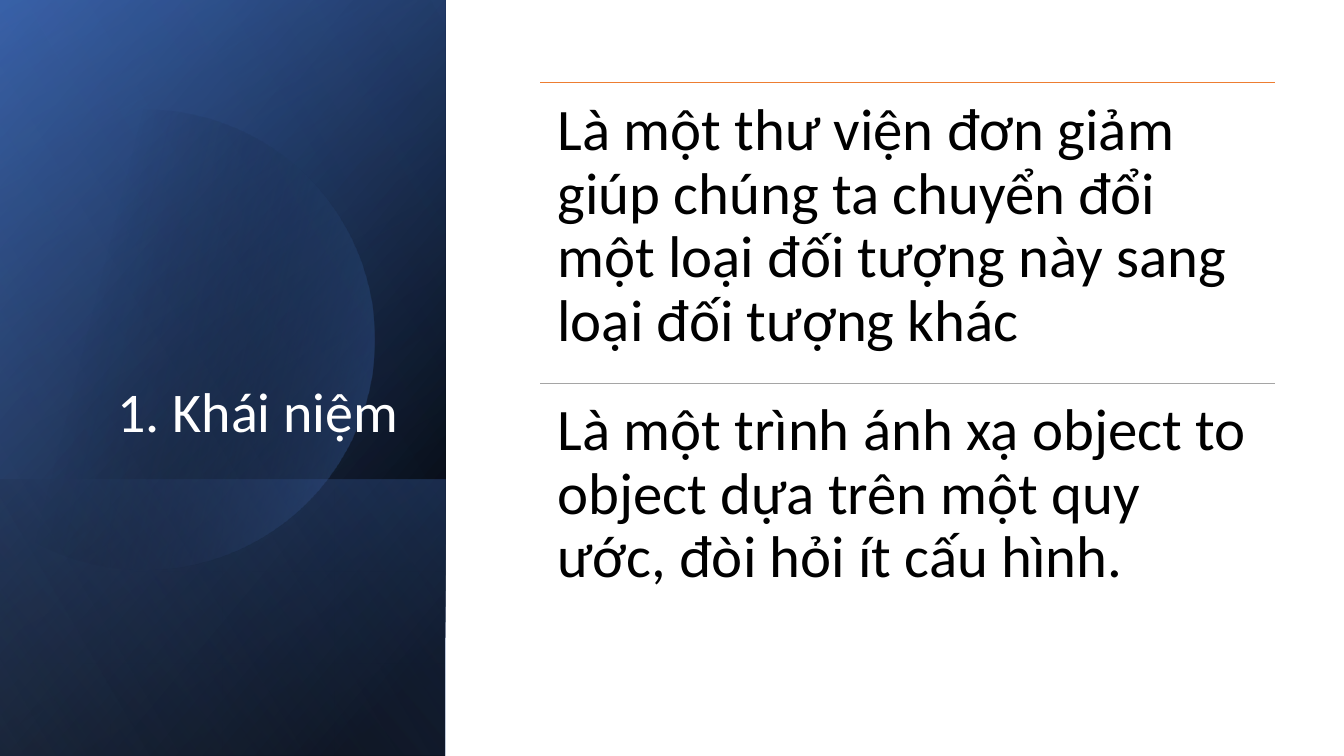
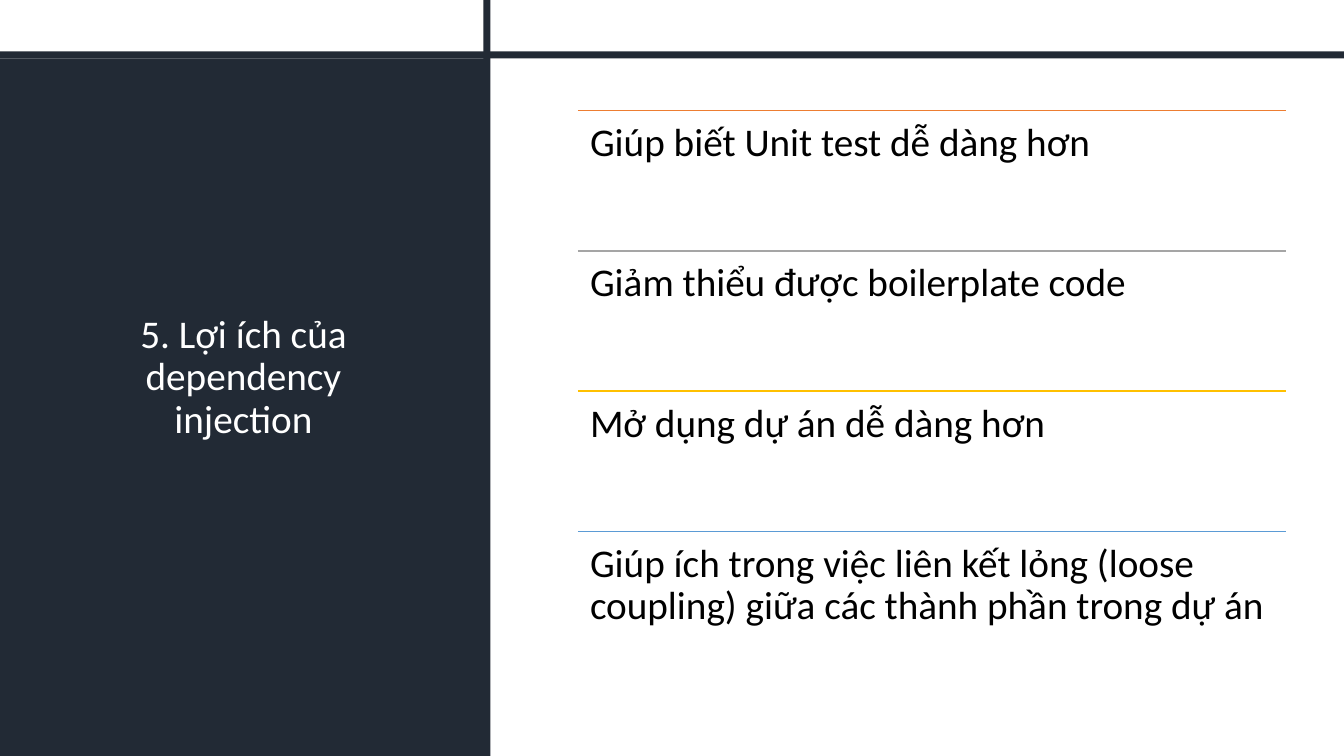
"""Build two slides, each with a dark title panel beside a ruled list."""
import dataclasses
import math

import lxml.etree
import pptx
import pptx.dml.color
import pptx.enum.shapes
import pptx.enum.text
import pptx.oxml.ns
import pptx.util


@dataclasses.dataclass(frozen=True)
class Theme:
    font: str = "Calibri"
    black: str = "000000"
    white: str = "FFFFFF"
    slate: str = "222A35"
    navy: str = "2F5597"
    blue: str = "4472C4"
    pale_blue: str = "8FAADC"
    orange: str = "ED7D31"
    grey: str = "A5A5A5"
    gold: str = "FFC000"
    sky: str = "5B9BD5"
    concept_title: int = 40
    concept_text: int = 42
    benefit_size: int = 28
    line_spacing: float = 0.9


theme = Theme()
rgb = pptx.dml.color.RGBColor.from_string
qn = pptx.oxml.ns.qn
anchors = pptx.enum.text.MSO_ANCHOR
aligns = pptx.enum.text.PP_ALIGN

deck = pptx.Presentation()
deck.slide_width = pptx.util.Inches(13.33)
deck.slide_height = pptx.util.Inches(7.5)
column = deck.slide_width / 100
row = deck.slide_height / 100


def grid(left, top, width, height):
    return [round(left * column), round(top * row), round(width * column), round(height * row)]


def write(frame, text, size, colour, align, anchor):
    frame.word_wrap = True
    frame.auto_size = pptx.enum.text.MSO_AUTO_SIZE.NONE
    frame.vertical_anchor = anchor
    frame.text = text
    paragraph = frame.paragraphs[0]
    paragraph.alignment = align
    paragraph.line_spacing = theme.line_spacing
    font = paragraph.runs[0].font
    font.name = theme.font
    font.size = pptx.util.Pt(size)
    font.color.rgb = rgb(colour)


concept = deck.slides.add_slide(deck.slide_layouts[5])
benefits = deck.slides.add_slide(deck.slide_layouts[5])

side_panel = (0, 0, 33.15, 100)
glazes = [
    (side_panel, 220, (8, theme.black, 100), (100, theme.navy, 100)),
    (side_panel, 240, (0, theme.black, 0), (99, theme.blue, 46)),
    ((0, 63.47, 33.15, 36.53), 140, (2, theme.blue, 29), (100, theme.black, 30)),
    (None, 14, (29, theme.black, 0), (100, theme.blue, 43)),
    (side_panel, 150, (0, theme.black, 0), (99, theme.pale_blue, 11)),
]
centre_x, centre_y, radius = 10.73 * column, 44.93 * row, 30.4 * row
opening = math.acos(-centre_x / radius)
turns = [opening * (step / 60 - 1) for step in range(121)]
disc_rim = [
    (round(centre_x + radius * math.cos(turn)), round(centre_y + radius * math.sin(turn)))
    for turn in turns
]

for box, angle, *stops in glazes:
    if box:
        glaze = concept.shapes.add_shape(pptx.enum.shapes.MSO_SHAPE.RECTANGLE, *grid(*box))
    else:
        outline = concept.shapes.build_freeform(*disc_rim[0])
        outline.add_line_segments(disc_rim[1:], close=True)
        glaze = outline.convert_to_shape()
    glaze.shadow.inherit = False
    glaze.line.fill.background()
    glaze.fill.gradient()
    glaze.fill.gradient_angle = 360 - angle
    for stop, (position, colour, _) in zip(glaze.fill.gradient_stops, stops):
        stop.position = position / 100
        stop.color.rgb = rgb(colour)
    for tint, (_, _, opacity) in zip(glaze.element.iter(qn("a:srgbClr")), stops):
        lxml.etree.SubElement(tint, qn("a:alpha")).set("val", str(opacity * 1000))

for box in [(0, 7.73, 36.45, 92.27), (35.97, 0, 0.52, 100), (0, 6.8, 100, 0.93)]:
    band = benefits.shapes.add_shape(pptx.enum.shapes.MSO_SHAPE.RECTANGLE, *grid(*box))
    band.shadow.inherit = False
    band.line.fill.background()
    band.fill.solid()
    band.fill.fore_color.rgb = rgb(theme.slate)

contents = [
    dict(
        slide=concept, title="1. Khái niệm", title_box=(4.8, 24.53, 25.58, 34.93),
        title_size=theme.concept_title, align=aligns.RIGHT, anchor=anchors.BOTTOM,
        list_box=(40.2, 10.93, 54.7, 39.73), text_size=theme.concept_text,
        inset=0.17, rule_width=0.5,
        points=[
            (theme.orange, "Là một thư viện đơn giảm giúp chúng ta chuyển đổi một loại đối tượng này sang loại đối tượng khác"),
            (theme.grey, "Là một trình ánh xạ object to object dựa trên một quy ước, đòi hỏi ít cấu hình."),
        ],
    ),
    dict(
        slide=benefits, title="5. Lợi ích của dependency injection", title_box=(4.95, 11.2, 26.33, 77.6),
        title_size=theme.benefit_size, align=aligns.CENTER, anchor=anchors.MIDDLE,
        list_box=(43, 14.63, 52.67, 18.55), text_size=theme.benefit_size,
        inset=0.12, rule_width=1,
        points=[
            (theme.orange, "Giúp biết Unit test dễ dàng hơn"),
            (theme.grey, "Giảm thiểu được boilerplate code"),
            (theme.gold, "Mở dụng dự án dễ dàng hơn"),
            (theme.sky, "Giúp ích trong việc liên kết lỏng (loose coupling) giữa các thành phần trong dự án"),
        ],
    ),
]

for content in contents:
    shapes = content["slide"].shapes
    title = shapes.title
    title.left, title.top, title.width, title.height = grid(*content["title_box"])
    write(title.text_frame, content["title"], content["title_size"], theme.white,
          content["align"], content["anchor"])
    title.element.getparent().append(title.element)

    left, first_top, width, height = grid(*content["list_box"])
    for index, (colour, text) in enumerate(content["points"]):
        top = first_top + index * height
        rule = shapes.add_connector(
            pptx.enum.shapes.MSO_CONNECTOR.STRAIGHT, left, top, left + width, top)
        rule.line.color.rgb = rgb(colour)
        rule.line.width = pptx.util.Pt(content["rule_width"])
        lxml.etree.SubElement(rule.element.spPr, qn("a:effectLst"))

        frame = shapes.add_textbox(left, top, width, height).text_frame
        frame.margin_left = frame.margin_right = pptx.util.Inches(content["inset"])
        frame.margin_top = frame.margin_bottom = pptx.util.Inches(content["inset"])
        write(frame, text, content["text_size"], theme.black, aligns.LEFT, anchors.TOP)

deck.save("out.pptx")
